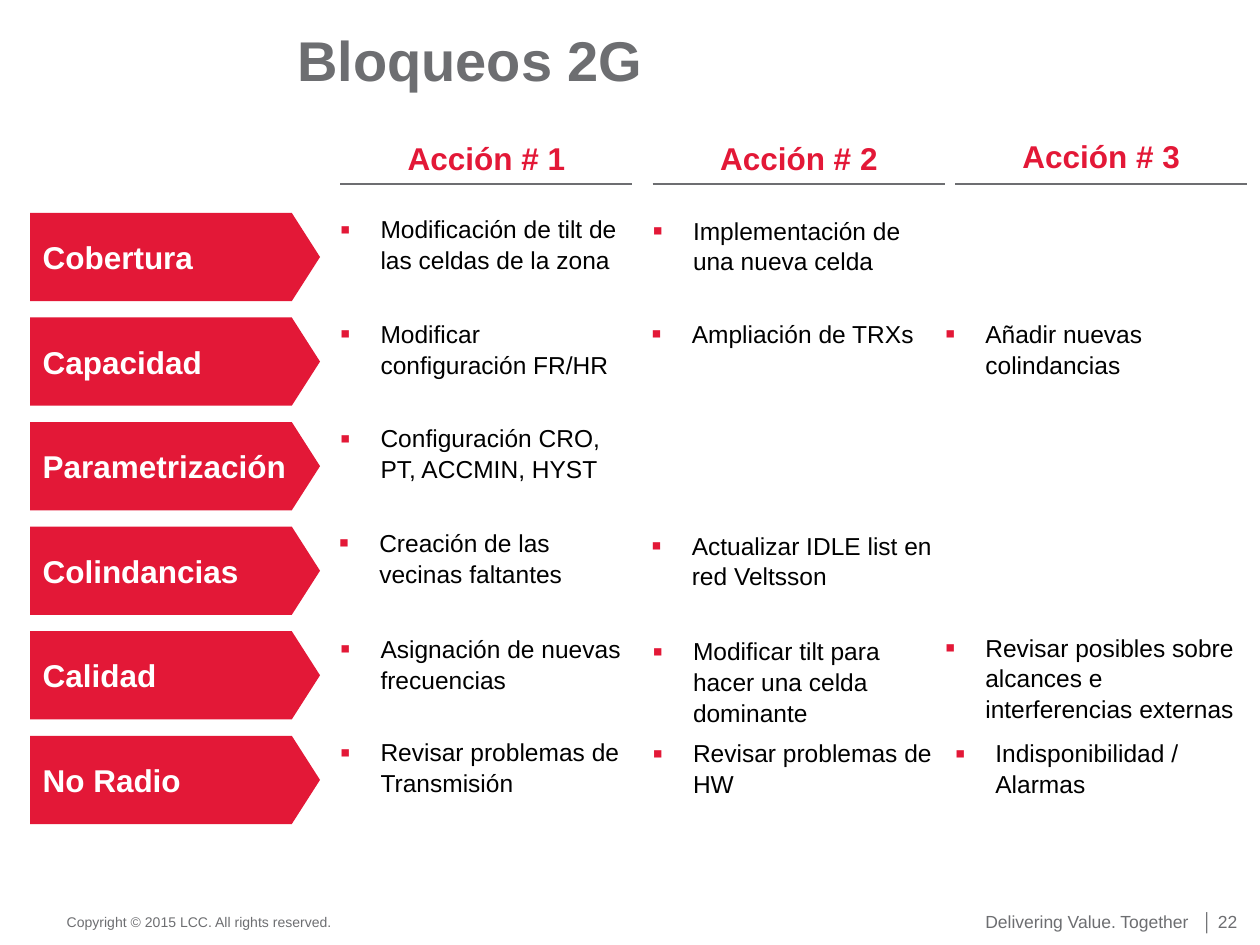
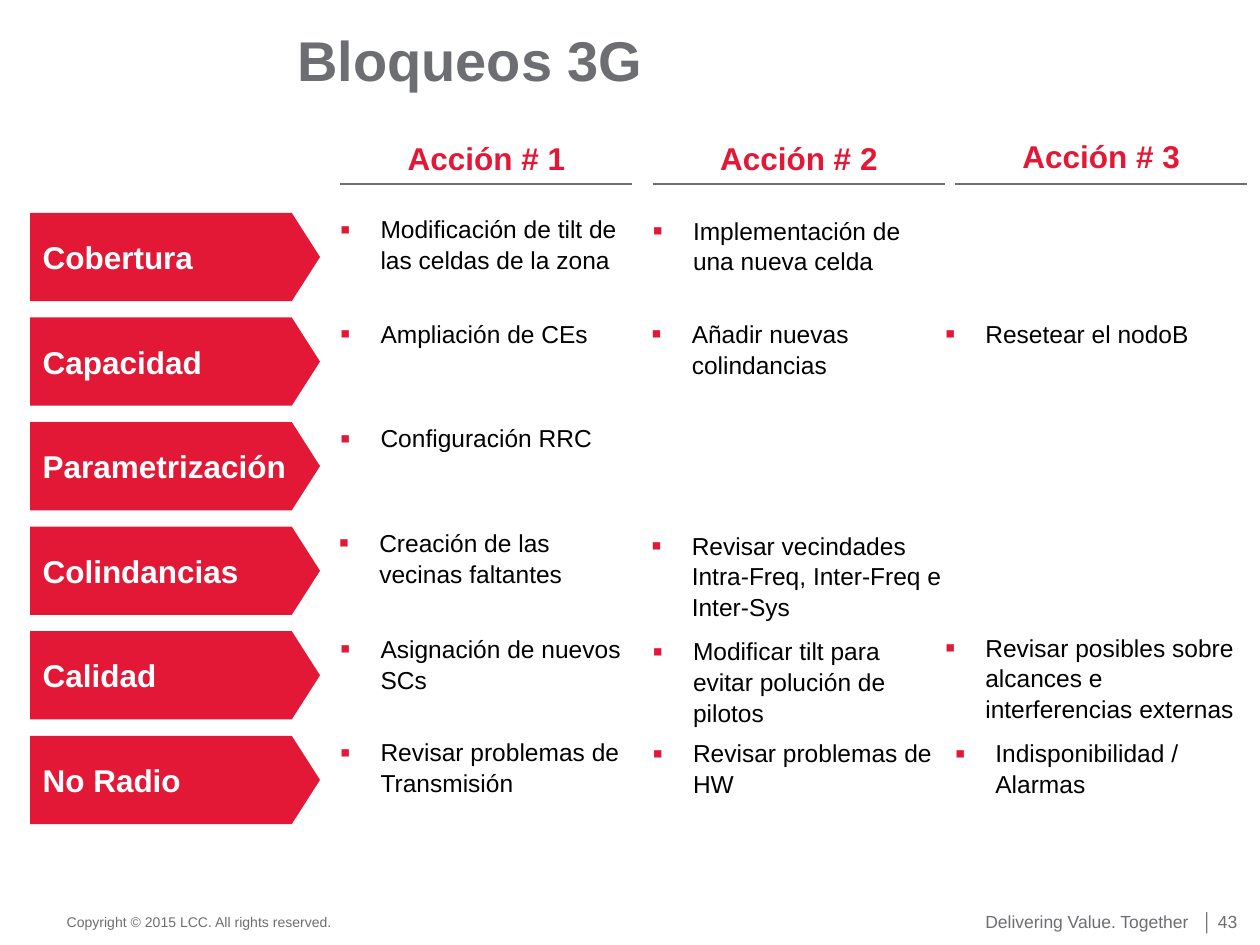
from dataclasses import dataclass

from lxml.etree import SubElement
from pptx import Presentation
from pptx.dml.color import RGBColor
from pptx.enum.shapes import MSO_CONNECTOR, MSO_SHAPE
from pptx.enum.text import MSO_ANCHOR as Anchor, MSO_AUTO_SIZE as AutoSize, PP_ALIGN as Align
from pptx.oxml.ns import qn
from pptx.util import Inches, Pt


@dataclass(frozen=True)
class Theme:
    font: str = "Arial"
    red: str = "E31837"
    grey: str = "6D6E71"
    white: str = "FFFFFF"
    black: str = "000000"
    title_size: int = 32
    label_size: int = 18
    action_size: int = 14
    tagline_size: int = 10
    copyright_size: int = 8


THEME = Theme()

# Grid shared by both slides, in inches
COLUMN_LEFTS = (2.7, 5.18, 7.58)
COLUMN_WIDTH = 2.32
FIRST_ROW_TOP = 1.69
ROW_PITCH = 0.83
RULE_TOP = 1.46
HEADING_TOPS = (1.1, 1.1, 1.09)

# Small shifts (x, y) of single cells, by row and column
CELL_SHIFTS = {
    (0, 1): (0, 0.01),
    (1, 1): (-0.01, 0), (1, 2): (-0.08, 0),
    (3, 0): (-0.01, 0), (3, 1): (-0.01, 0.02),
    (4, 0): (0, 0.01), (4, 1): (0, 0.03), (4, 2): (-0.08, 0),
    (5, 1): (0, 0.01), (5, 2): (0, 0.01),
}

CATEGORIES = ("Cobertura", "Capacidad", "Parametrización",
              "Colindancias", "Calidad", "No Radio")

# Rows that read the same on both slides
COVERAGE = ("Modificación de tilt de las celdas de la zona",
            "Implementación de una nueva celda")
NEIGHBOURS = "Creación de las vecinas faltantes"
OVERREACH = "Revisar posibles sobre alcances e interferencias externas"
NO_RADIO = ("Revisar problemas de Transmisión",
            "Revisar problemas de HW",
            "Indisponibilidad / Alarmas")

# Title, page number and the actions of each category
BLOCKINGS = (
    ("Bloqueos 2G", 22, (
        COVERAGE,
        ("Modificar configuración FR/HR", "Ampliación de TRXs",
         "Añadir nuevas colindancias"),
        ("Configuración CRO, PT, ACCMIN, HYST",),
        (NEIGHBOURS, "Actualizar IDLE list en red Veltsson"),
        ("Asignación de nuevas frecuencias",
         "Modificar tilt para hacer una celda dominante", OVERREACH),
        NO_RADIO,
    )),
    ("Bloqueos 3G", 43, (
        COVERAGE,
        ("Ampliación de CEs", "Añadir nuevas colindancias", "Resetear el nodoB"),
        ("Configuración RRC",),
        (NEIGHBOURS, "Revisar vecindades Intra-Freq, Inter-Freq e Inter-Sys"),
        ("Asignación de nuevos SCs",
         "Modificar tilt para evitar polución de pilotos", OVERREACH),
        NO_RADIO,
    )),
)


def place(shape, left, top, width, height):
    shape.left, shape.top = Inches(left), Inches(top)
    shape.width, shape.height = Inches(width), Inches(height)


def write(frame, text, size, color, bold=False, align=Align.LEFT):
    """Set one formatted paragraph and return it."""
    frame.text = text
    paragraph = frame.paragraphs[0]
    paragraph.alignment = align
    font = paragraph.runs[0].font
    font.name, font.size, font.bold = THEME.font, Pt(size), bold
    font.color.rgb = RGBColor.from_string(color)
    return paragraph


def strip_margins(frame):
    frame.margin_left = frame.margin_right = 0
    frame.margin_top = frame.margin_bottom = 0


def add_text(slide, box, text, size, color, wrap=True, **style):
    frame = slide.shapes.add_textbox(*map(Inches, box)).text_frame
    strip_margins(frame)
    frame.word_wrap = wrap
    frame.auto_size = AutoSize.SHAPE_TO_FIT_TEXT
    return write(frame, text, size, color, **style)


def add_title(slide, text):
    title = slide.shapes.title
    place(title, 2.36, 0.2, 7.15, 0.54)
    frame = title.text_frame
    strip_margins(frame)
    frame.vertical_anchor = Anchor.TOP
    frame.auto_size = AutoSize.NONE
    write(frame, text, THEME.title_size, THEME.grey, bold=True)


def add_heading(slide, column):
    """Column heading with the rule under it."""
    left = COLUMN_LEFTS[column]
    add_text(slide, (left, HEADING_TOPS[column], COLUMN_WIDTH, 0.3),
             f"Acción # {column + 1}", THEME.label_size, THEME.red,
             bold=True, align=Align.CENTER)
    rule = slide.shapes.add_connector(
        MSO_CONNECTOR.STRAIGHT, Inches(left), Inches(RULE_TOP),
        Inches(left + COLUMN_WIDTH), Inches(RULE_TOP))
    rule.line.color.rgb = RGBColor.from_string(THEME.grey)
    rule.line.width = Pt(0.75)
    SubElement(rule._element.spPr, qn("a:effectLst"))


def add_category(slide, name, top):
    arrow = slide.shapes.add_shape(MSO_SHAPE.PENTAGON, Inches(0.24), Inches(top),
                                   Inches(2.3), Inches(0.7))
    arrow.adjustments[0] = 0.32
    arrow.shadow.inherit = False
    arrow.fill.solid()
    arrow.fill.fore_color.rgb = RGBColor.from_string(THEME.red)
    arrow.line.fill.background()
    arrow.text_frame.vertical_anchor = Anchor.MIDDLE
    write(arrow.text_frame, name, THEME.label_size, THEME.white, bold=True)


def add_bullet(paragraph):
    properties = paragraph._p.get_or_add_pPr()
    properties.set("marL", str(Inches(0.32)))
    properties.set("indent", str(-Inches(0.32)))
    color = SubElement(properties, qn("a:buClr"))
    SubElement(color, qn("a:srgbClr"), val=THEME.red)
    SubElement(properties, qn("a:buSzPct"), val="120000")
    SubElement(properties, qn("a:buFont"), typeface=THEME.font)
    SubElement(properties, qn("a:buChar"), char="▪")


def add_action(slide, text, row, column):
    shift_x, shift_y = CELL_SHIFTS.get((row, column), (0, 0))
    box = (COLUMN_LEFTS[column] + shift_x,
           FIRST_ROW_TOP + row * ROW_PITCH + shift_y, COLUMN_WIDTH, 0.47)
    action = add_text(slide, box, text, THEME.action_size, THEME.black)
    action.line_spacing = 1.05
    add_bullet(action)


def add_footer(slide, page):
    add_text(slide, (0.53, 7.25, 2.13, 0.13),
             "Copyright © 2015 LCC. All rights reserved.",
             THEME.copyright_size, THEME.grey, wrap=False)
    for text, left, width in (("Delivering Value. Together", 7.72, 1.71),
                              (f"│ {page}", 9.42, 0.4)):
        add_text(slide, (left, 7.23, width, 0.17), text,
                 THEME.tagline_size, THEME.grey, align=Align.RIGHT)


def add_blocking_slide(deck, title, page, actions_by_category):
    slide = deck.slides.add_slide(deck.slide_layouts.get_by_name("Title Only"))
    add_footer(slide, page)
    add_title(slide, title)
    for column in range(len(COLUMN_LEFTS)):
        add_heading(slide, column)
    for row, (category, actions) in enumerate(zip(CATEGORIES, actions_by_category)):
        add_category(slide, category, FIRST_ROW_TOP + row * ROW_PITCH)
        for column, action in enumerate(actions):
            add_action(slide, action, row, column)


def main():
    deck = Presentation()
    deck.slide_width, deck.slide_height = Inches(10), Inches(7.5)
    for blocking in BLOCKINGS:
        add_blocking_slide(deck, *blocking)
    deck.save("out.pptx")


if __name__ == "__main__":
    main()
